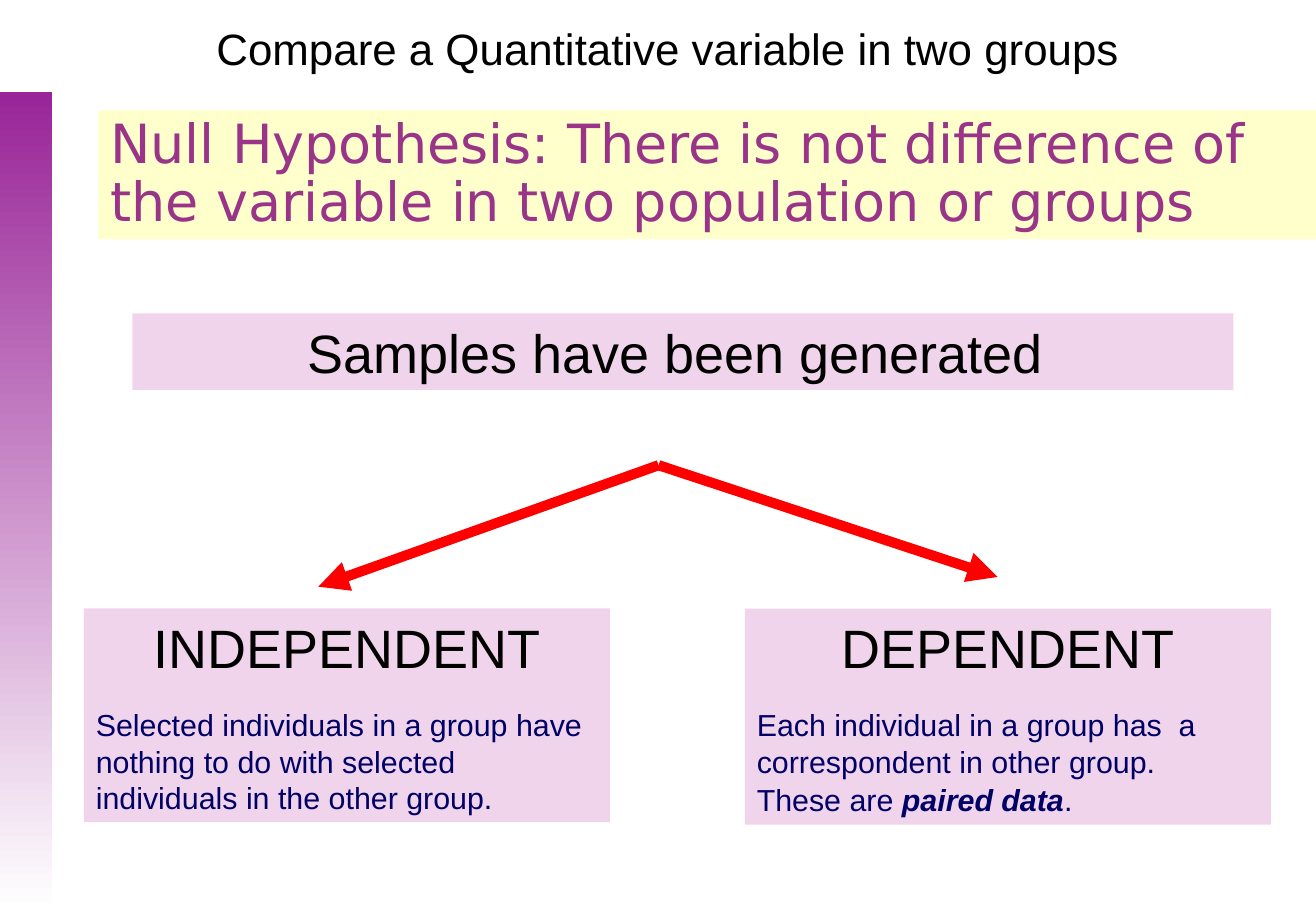
from lxml.etree import SubElement
from pptx import Presentation
from pptx.dml.color import RGBColor
from pptx.enum.shapes import MSO_CONNECTOR, MSO_SHAPE
from pptx.enum.text import MSO_ANCHOR, PP_ALIGN
from pptx.oxml.ns import qn
from pptx.util import Inches, Pt

PINK = "F0D4EB"
HEADING = {"size": Pt(32), "name": "Arial", "color": "000000"}
DETAIL = {"size": Pt(18), "name": "Arial", "color": "000066"}
PAIRED = {**DETAIL, "bold": True, "italic": True}
CENTERED = {"alignment": PP_ALIGN.CENTER}
LEFT = {"alignment": PP_ALIGN.LEFT}


def color(hex_value):
    return RGBColor.from_string(hex_value)


def add_rectangle(slide, left, top, width, height):
    rectangle = slide.shapes.add_shape(
        MSO_SHAPE.RECTANGLE, Inches(left), Inches(top), Inches(width), Inches(height))
    rectangle.shadow.inherit = False
    rectangle.line.fill.background()
    return rectangle


def add_fading_bar(slide, left, top, width, height, start, end):
    fill = add_rectangle(slide, left, top, width, height).fill
    fill.gradient()
    fill.gradient_angle = 270
    for stop, position, shade in zip(fill.gradient_stops, (0, 1), (start, end)):
        stop.position = position
        stop.color.rgb = color(shade)


def add_panel(slide, left, top, width, height, fill, paragraphs):
    """Each paragraph is (paragraph format, [(text, font format), ...])."""
    panel = add_rectangle(slide, left, top, width, height)
    panel.fill.solid()
    panel.fill.fore_color.rgb = color(fill)
    frame = panel.text_frame
    frame.word_wrap = True
    frame.vertical_anchor = MSO_ANCHOR.TOP
    for index, (layout, runs) in enumerate(paragraphs):
        paragraph = frame.add_paragraph() if index else frame.paragraphs[0]
        for key, value in layout.items():
            setattr(paragraph, key, value)
        for text, style in runs:
            run = paragraph.add_run()
            run.text = text
            for key, value in style.items():
                if key == "color":
                    run.font.color.rgb = color(value)
                else:
                    setattr(run.font, key, value)


def add_arrow(slide, start, end):
    arrow = slide.shapes.add_connector(
        MSO_CONNECTOR.STRAIGHT, *[Inches(value) for value in start + end])
    arrow.line.color.rgb = color("FF0000")
    arrow.line.width = Pt(6)
    properties = arrow._element.spPr
    SubElement(properties.find(qn("a:ln")), qn("a:tailEnd"), type="triangle")
    SubElement(properties, qn("a:effectLst"))


def main():
    deck = Presentation()
    deck.slide_width, deck.slide_height = Inches(10.83), Inches(7.5)
    slide = deck.slides.add_slide(deck.slide_layouts[6])

    # Side bar and title
    add_fading_bar(slide, 0, 0.76, 0.43, 6.74, "992598", "FFFFFF")
    add_panel(slide, 0.53, 0.13, 9.94, 0.79, "FFFFFF", [
        (CENTERED, [("Compare a Quantitative variable in two groups",
                     {**HEADING, "size": Pt(26)})])])

    # Null hypothesis
    add_panel(slide, 0.81, 0.91, 10.02, 1.06, "FFFFCC", [
        ({**LEFT, "line_spacing": 0.9},
         [("Null Hypothesis: There is not difference of the variable in two "
           "population or groups",
           {"size": Pt(32), "name": "DejaVu Sans", "color": "993489"})])])

    # Samples and the two ways they arise
    add_panel(slide, 1.09, 2.58, 9.06, 0.63, PINK, [
        (CENTERED, [("Samples have been generated ", HEADING)])])
    for tip in ((2.62, 4.83), (8.21, 4.75)):
        add_arrow(slide, (5.42, 3.83), tip)

    sample_types = [
        (0.69, 1.76, "INDEPENDENT", [
            [("Selected individuals in a group have nothing to do with selected "
              "individuals in the other group.", DETAIL)]]),
        (6.13, 1.78, "DEPENDENT", [
            [("Each individual in a group has  a correspondent in other group.", DETAIL)],
            [("These are ", DETAIL), ("paired data", PAIRED), (".", DETAIL)]]),
    ]
    for left, height, heading, details in sample_types:
        paragraphs = [(CENTERED, [(heading, HEADING)])]
        for index, runs in enumerate(details):
            gap = Pt(1.2) if index else Pt(16)
            paragraphs.append(({**LEFT, "space_before": gap}, runs))
        add_panel(slide, left, 5.01, 4.33, height, PINK, paragraphs)

    deck.save("out.pptx")


if __name__ == "__main__":
    main()
